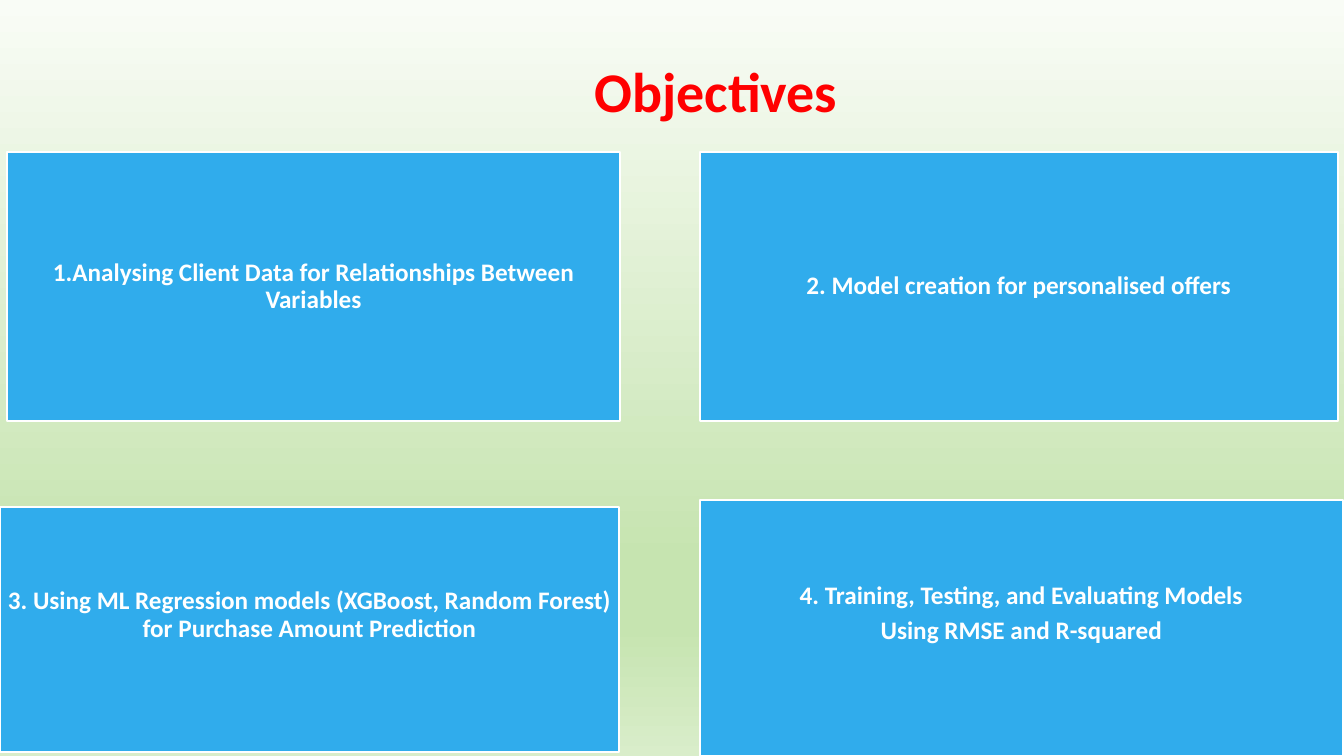
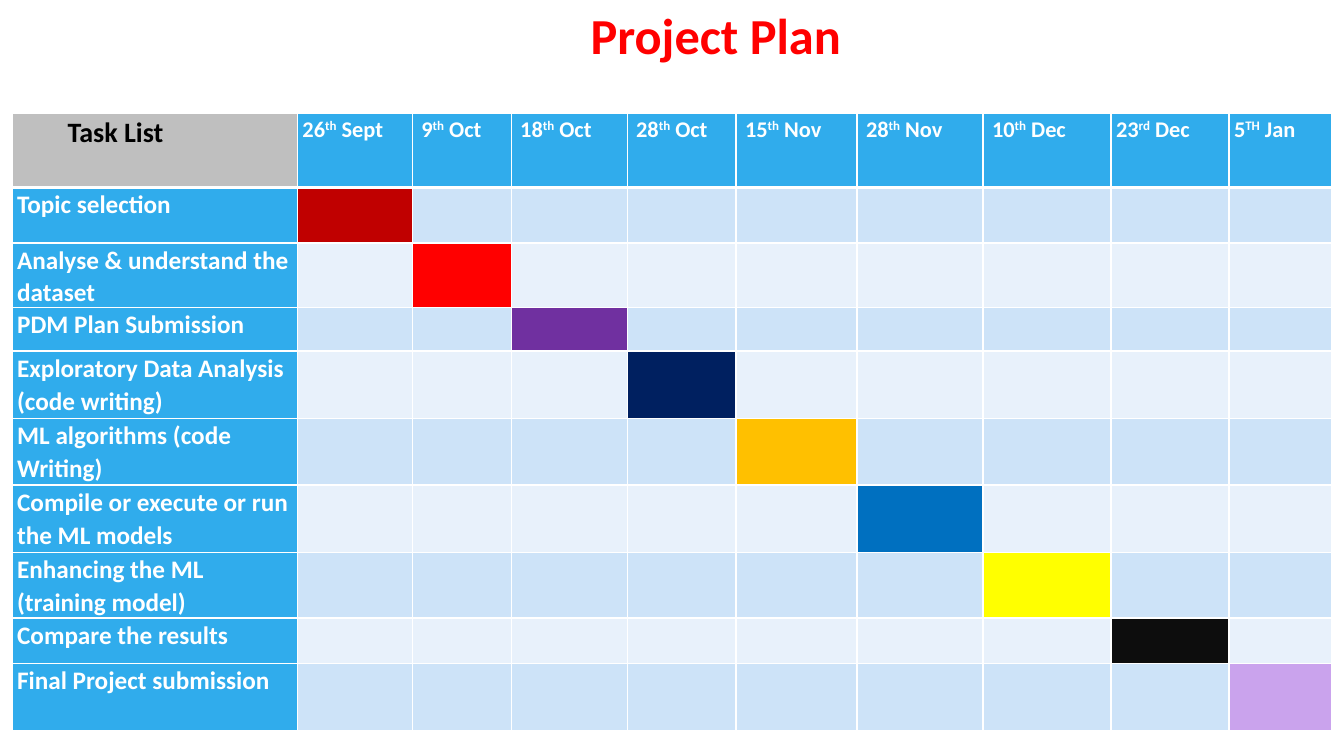
from lxml.etree import SubElement
from pptx import Presentation
from pptx.dml.color import RGBColor
from pptx.enum.shapes import MSO_SHAPE as Shape
from pptx.enum.text import MSO_ANCHOR as Anchor, PP_ALIGN as Align
from pptx.oxml.ns import qn
from pptx.util import Inches, Pt

RED = RGBColor(0xFF, 0x00, 0x00)
BLUE = RGBColor(0x30, 0xAC, 0xEC)
WHITE = RGBColor(0xFF, 0xFF, 0xFF)
BLACK = RGBColor(0x00, 0x00, 0x00)
GREY = RGBColor(0xBF, 0xBF, 0xBF)
BANDS = RGBColor(0xE8, 0xF1, 0xFB), RGBColor(0xCD, 0xE3, 0xF8)
PALE_GREEN = RGBColor(0xF9, 0xFC, 0xF6)
LEAF_GREEN = RGBColor(0xC6, 0xE4, 0xB0)
SOFT_GREEN = RGBColor(0xD9, 0xED, 0xCA)
BACKDROP = [(0, PALE_GREEN), (74, LEAF_GREEN), (83, LEAF_GREEN), (100, SOFT_GREEN)]

FONT = {"name": "Calibri", "bold": True}
CARD_PARAGRAPH = {"alignment": Align.CENTER, "line_spacing": 0.9, "space_after": Pt(6)}
CELL_PARAGRAPH = {"line_spacing": 1.07, "space_after": Pt(8)}
CARD_INSETS = {"margin_left": Inches(0.07), "margin_right": Inches(0.07),
               "margin_top": Inches(0.07)}
CELL_INSETS = {"margin_right": Inches(0.05), "margin_top": 0, "margin_bottom": 0}

OBJECTIVES = [
    ((0.07, 1.51, 6.08, 2.67), 0.07,
     ["1.Analysing Client Data for Relationships Between Variables"]),
    ((6.94, 1.51, 6.33, 2.67), 0.07, ["2. Model creation for personalised offers"]),
    ((0, 5.03, 6.14, 2.43), 0.35,
     ["3. Using ML Regression models (XGBoost, Random Forest) for Purchase Amount Prediction"]),
    ((6.94, 4.96, 6.38, 2.54), 0.35,
     ["4. Training, Testing, and Evaluating Models", "Using RMSE and R-squared"]),
]

TASK_WIDTH = 2.83
HEADER_HEIGHT = 0.73
DATES = [
    (1.14, 0.05, "26", "th", " Sept"),
    (0.98, 0.09, "9", "th", " Oct"),
    (1.15, 0.09, "18", "th", " Oct"),
    (1.08, 0.09, "28", "th", " Oct"),
    (1.2, 0.09, "15", "th", " Nov"),
    (1.25, 0.09, "28", "th", " Nov"),
    (1.27, 0.09, "10", "th", " Dec"),
    (1.17, 0.05, "23", "rd", " Dec"),
    (1.02, 0.05, "5", "TH", " Jan"),
]
TASKS = [
    (0.55, "Topic selection", RGBColor(0xC0, 0x00, 0x00)),
    (0.64, "Analyse & understand the dataset", RED),
    (0.43, "PDM Plan Submission", RGBColor(0x70, 0x30, 0xA0)),
    (0.67, "Exploratory Data Analysis (code writing)", RGBColor(0x00, 0x20, 0x60)),
    (0.66, "ML algorithms (code Writing)", RGBColor(0xFF, 0xC0, 0x00)),
    (0.67, "Compile or execute or run the ML models", RGBColor(0x00, 0x70, 0xC0)),
    (0.65, "Enhancing the ML (training model)", RGBColor(0xFF, 0xFF, 0x00)),
    (0.45, "Compare the results", RGBColor(0x0D, 0x0D, 0x0D)),
    (0.67, "Final Project submission", RGBColor(0xCA, 0xA3, 0xED)),
]


def apply(target, *formats):
    for values in formats:
        for key, value in values.items():
            setattr(target, key, value)


def add_run(paragraph, text, size, color):
    run = paragraph.add_run()
    run.text = text
    apply(run.font, FONT, {"size": Pt(size)})
    run.font.color.rgb = color
    return run


def add_title(slide, text, size, top, height):
    title = slide.shapes.add_textbox(Inches(1.62), Inches(top), Inches(10.96), Inches(height))
    frame = title.text_frame
    apply(frame, {"word_wrap": True, "vertical_anchor": Anchor.MIDDLE})
    heading = frame.paragraphs[0]
    apply(heading, {"alignment": Align.CENTER, "line_spacing": 0.9})
    add_run(heading, text, size, RED)


def paint_backdrop(slide):
    fill = slide.background.fill
    fill.gradient()
    fill.gradient_angle = 270
    stops = slide.element.find(".//" + qn("a:gsLst"))
    stops.clear()
    for percent, color in BACKDROP:
        stop = SubElement(stops, qn("a:gs"), pos=str(percent * 1000))
        SubElement(stop, qn("a:srgbClr"), val=str(color))


def add_objective(slide, box, bottom_inset, lines):
    card = slide.shapes.add_shape(Shape.RECTANGLE, *map(Inches, box))
    card.shadow.inherit = False
    card.fill.solid()
    card.fill.fore_color.rgb = BLUE
    card.line.color.rgb = WHITE
    card.line.width = Pt(1.25)
    frame = card.text_frame
    apply(frame, CARD_INSETS, {"margin_bottom": Inches(bottom_inset), "word_wrap": True,
                               "vertical_anchor": Anchor.MIDDLE})
    for index, line in enumerate(lines):
        paragraph = frame.add_paragraph() if index else frame.paragraphs[0]
        apply(paragraph, CARD_PARAGRAPH)
        add_run(paragraph, line, 18, WHITE)


def style_cell(cell, color, left_inset=0.05, top_border=1, bottom_border=1):
    apply(cell, CELL_INSETS, {"margin_left": Inches(left_inset)})
    properties = cell._tc.get_or_add_tcPr()
    for side, width in (("L", 1), ("R", 1), ("T", top_border), ("B", bottom_border)):
        border = SubElement(properties, qn("a:ln" + side), w=str(Pt(width)))
        SubElement(SubElement(border, qn("a:solidFill")), qn("a:srgbClr"), val=str(WHITE))
    cell.fill.solid()
    cell.fill.fore_color.rgb = color
    paragraph = cell.text_frame.paragraphs[0]
    apply(paragraph, CELL_PARAGRAPH)
    return paragraph


def add_plan(slide):
    widths = [TASK_WIDTH] + [date[0] for date in DATES]
    heights = [HEADER_HEIGHT] + [task[0] for task in TASKS]
    plan = slide.shapes.add_table(len(heights), len(widths), Inches(0.12), Inches(1.13),
                                  Inches(sum(widths)), Inches(sum(heights))).table
    apply(plan, {"first_row": False, "horz_banding": False})
    for column, width in zip(plan.columns, widths):
        column.width = Inches(width)
    for row, height in zip(plan.rows, heights):
        row.height = Inches(height)

    corner = style_cell(plan.cell(0, 0), GREY, 0.55, bottom_border=3)
    add_run(corner, "Task List", 20, BLACK)
    for column, (_, inset, day, suffix, month) in enumerate(DATES, 1):
        date = style_cell(plan.cell(0, column), BLUE, inset, bottom_border=3)
        add_run(date, day, 16, WHITE)
        ordinal = add_run(date, suffix, 16, WHITE)
        ordinal.font._element.set("baseline", "30000")
        add_run(date, month, 16, WHITE)

    for row, (_, task, color) in enumerate(TASKS, 1):
        top_border = 3 if row == 1 else 1
        label = style_cell(plan.cell(row, 0), BLUE, top_border=top_border)
        add_run(label, task, 18, WHITE)
        for column in range(1, len(widths)):
            fill = color if column == row else BANDS[row % 2]
            style_cell(plan.cell(row, column), fill, top_border=top_border)


def main():
    deck = Presentation()
    apply(deck, {"slide_width": Inches(13.33), "slide_height": Inches(7.5)})
    blank = deck.slide_layouts[6]

    objectives = deck.slides.add_slide(blank)
    paint_backdrop(objectives)
    add_title(objectives, "Objectives", 40, 0.18, 1.51)
    for objective in OBJECTIVES:
        add_objective(objectives, *objective)

    project_plan = deck.slides.add_slide(blank)
    add_title(project_plan, "Project Plan", 36, 0.09, 0.58)
    add_plan(project_plan)

    deck.save("out.pptx")


if __name__ == "__main__":
    main()
